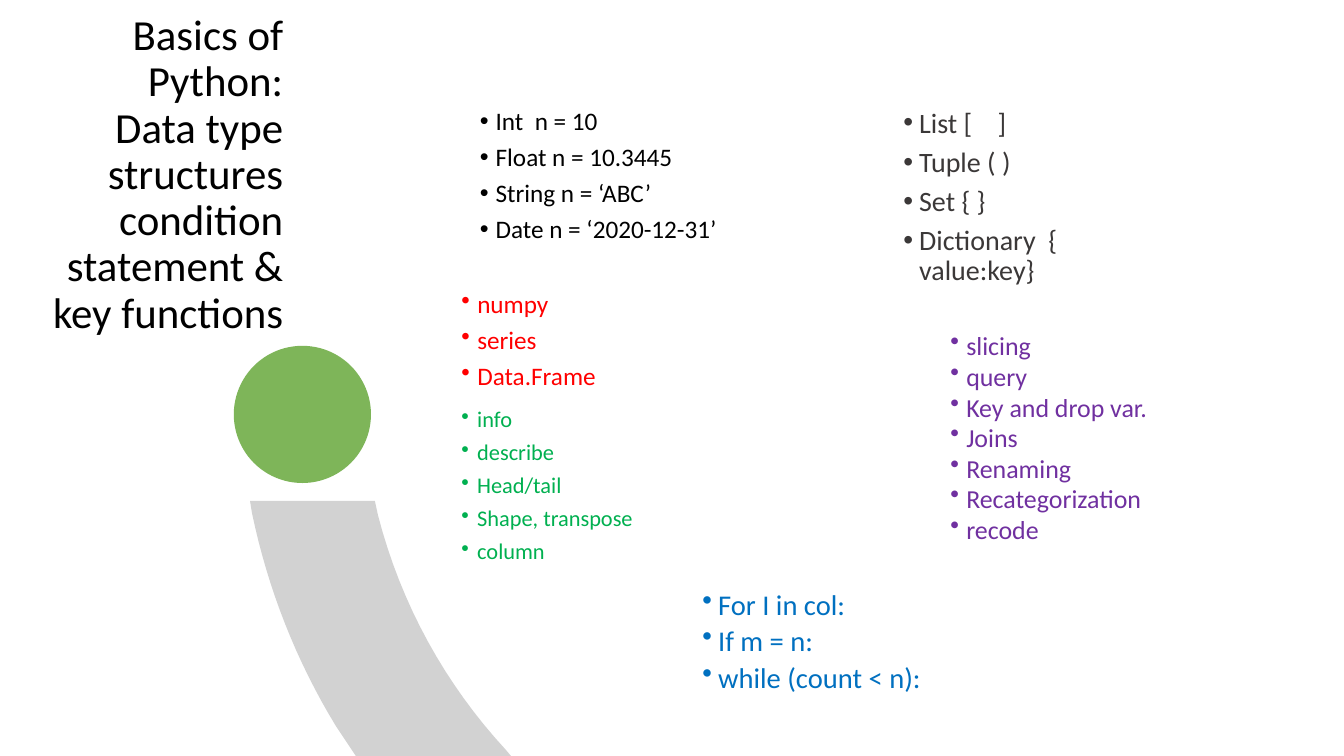
import pptx
import pptx.util
import pptx.dml.color
import pptx.enum.shapes
import pptx.enum.text
import lxml.etree

Pt = pptx.util.Pt
FONT = "Calibri"
INK = {
    "black": "000000", "dark": "3B3838", "red": "FF0000", "lime": "00B050",
    "blue": "0070C0", "plum": "7030A0", "leaf": "70AD47", "gray": "808080",
}
TITLE = ("Basics of Python:\vData type structures condition statement "
         "& key functions")
TITLE_BOX = (0, 3.6, 209.5, 243.4)

# box (left, top, width, height), size, line spacing, colour, lines
BODIES = [
    ((335.5, 74.2, 224, 122.4), 18, 0.9, "black",
     ["Int  n = 10", "Float n = 10.3445", "String n = ‘ABC’",
      "Date n = ‘2020-12-31’"]),
    ((638, 74.2, 125.3, 142.6), 20, 0.9, "dark",
     ["List [    ]", "Tuple ( )", "Set { }", "Dictionary  { value:key}"]),
]
NOTES = [
    ((322.5, 204.5, 190, 82), 18, 0.9, "red",
     ["numpy", "series", "Data.Frame"]),
    ((322.5, 288, 162.7, 142.6), 16, 0.9, "lime",
     ["info", "describe", "Head/tail", "Shape, transpose", "column"]),
    ((671.8, 238.3, 219, 170.6), 18.5, 0.7, "plum",
     ["slicing", "query", "Key and drop var.", "Joins", "Renaming",
      "Recategorization", "recode"]),
    ((494.6, 420.5, 177.8, 82), 20.4, 0.8, "blue",
     ["For I in col:", "If m = n:", "while (count < n):"]),
]
DOT = (167, 247, 98, 98)
# Each edge of the band: start, then Bezier (control, control, end), then end
OUTER = [(267.8, 357.8), (270, 368), (286.5, 432), (318.2, 489), (361.4, 535.7),
         (365, 540)]
INNER = [(178.6, 357.8), (180, 366.5), (191.5, 421.2), (211.7, 472.3),
         (239.8, 518.4), (254.2, 540)]
GAP, INDENT, STEPS = 6.3, 11.34, 16


def rgb(name):
    return pptx.dml.color.RGBColor.from_string(INK[name])


def place(shape, box):
    shape.left, shape.top, shape.width, shape.height = map(Pt, box)


def style(para, size, space, color):
    para.line_spacing = space
    para.font.name = FONT
    para.font.size = Pt(size)
    para.font.color.rgb = rgb(color)


def bullet(para):
    props = para._p.get_or_add_pPr()
    props.set("marL", str(Pt(INDENT)))
    props.set("indent", str(-Pt(INDENT)))
    mark = lxml.etree.Element(pptx.oxml.ns.qn("a:buChar"), char="•")
    props.find(pptx.oxml.ns.qn("a:defRPr")).addprevious(mark)


def fill_list(shape, box, size, space, color, lines):
    place(shape, box)
    frame = shape.text_frame
    frame.word_wrap = True
    frame.auto_size = pptx.enum.text.MSO_AUTO_SIZE.NONE
    frame.text = "\n".join(lines)
    for para in frame.paragraphs:
        para.space_before = Pt(GAP)
        style(para, size, space, color)
        bullet(para)


def paint(shape, color, alpha):
    shape.shadow.inherit = False
    shape.line.fill.background()
    shape.fill.solid()
    shape.fill.fore_color.rgb = rgb(color)
    tone = shape._element.spPr.find(".//" + pptx.oxml.ns.qn("a:srgbClr"))
    lxml.etree.SubElement(tone, pptx.oxml.ns.qn("a:alpha"),
                          val=str(alpha * 1000))


def trace(edge):
    """Return the edge as points, with its Bezier part cut into short lines."""
    first, a, b, c, d, last = edge
    curve = []
    for step in range(STEPS + 1):
        t = step / STEPS
        u = 1 - t
        curve.append(tuple(
            u**3 * p + 3 * u * u * t * q + 3 * u * t * t * r + t**3 * s
            for p, q, r, s in zip(a, b, c, d)))
    return [first, *curve, last]


def main():
    deck = pptx.Presentation()
    deck.slide_width, deck.slide_height = Pt(960), Pt(540)
    slide = deck.slides.add_slide(deck.slide_layouts[3])
    shapes = slide.shapes

    dot = shapes.add_shape(pptx.enum.shapes.MSO_SHAPE.OVAL, *map(Pt, DOT))
    paint(dot, "leaf", 90)

    ring = [(Pt(x), Pt(y)) for x, y in trace(OUTER) + trace(INNER)[::-1]]
    pen = shapes.build_freeform(*ring[0])
    pen.add_line_segments(ring[1:], close=True)
    paint(pen.convert_to_shape(), "gray", 35)

    title = shapes.title
    place(title, TITLE_BOX)
    frame = title.text_frame
    frame.text = TITLE
    frame.auto_size = pptx.enum.text.MSO_AUTO_SIZE.NONE
    frame.vertical_anchor = pptx.enum.text.MSO_ANCHOR.MIDDLE
    para = frame.paragraphs[0]
    para.alignment = pptx.enum.text.PP_ALIGN.RIGHT
    style(para, 30.6, 0.9, "black")

    for index, body in enumerate(BODIES, 1):
        fill_list(slide.placeholders[index], *body)
    for note in NOTES:
        fill_list(shapes.add_textbox(*map(Pt, note[0])), *note)

    deck.save("out.pptx")


if __name__ == "__main__":
    main()
